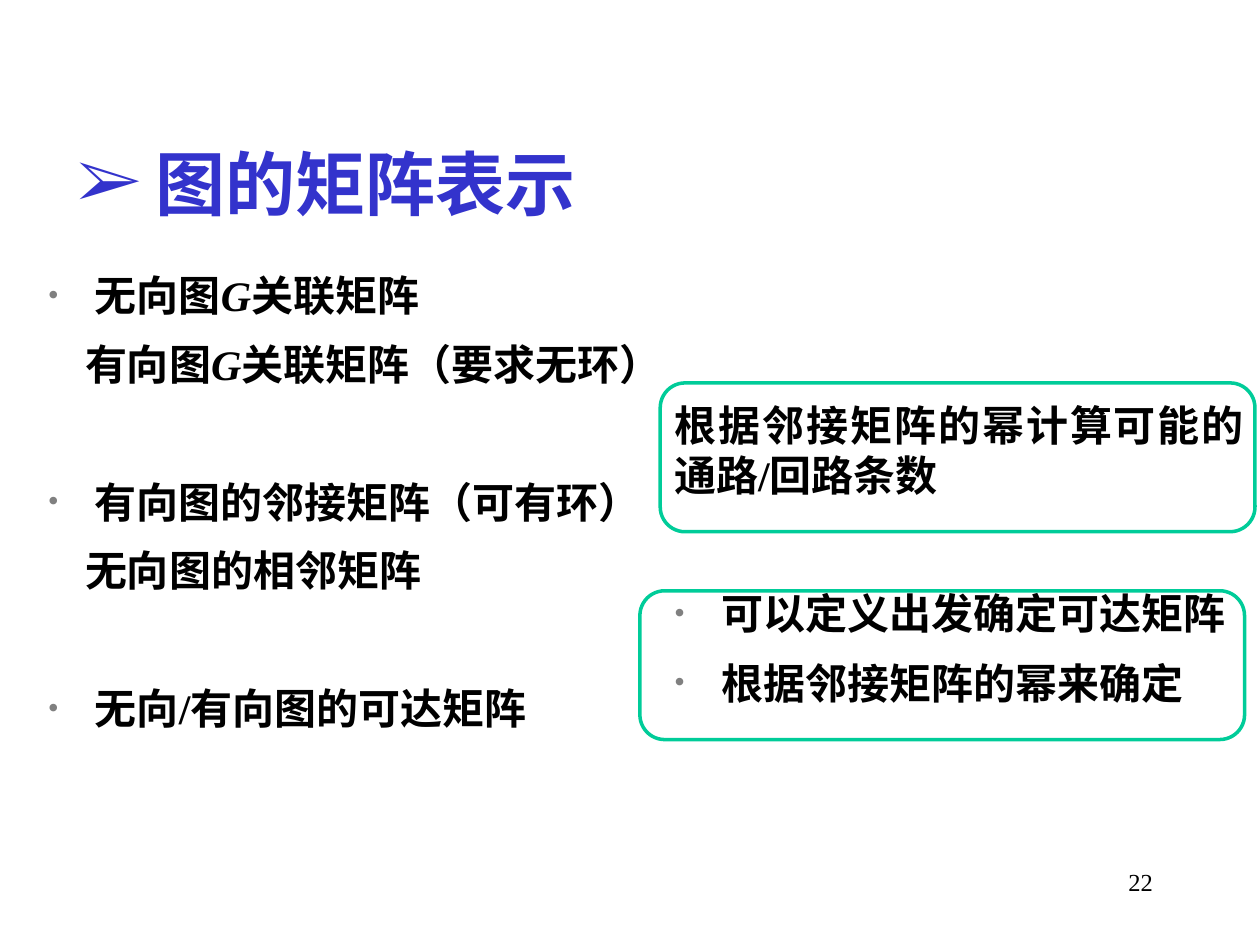
from lxml.etree import SubElement
from pptx import Presentation
from pptx.dml.color import RGBColor
from pptx.enum.shapes import MSO_SHAPE
from pptx.enum.text import MSO_ANCHOR, MSO_AUTO_SIZE, PP_ALIGN
from pptx.oxml.ns import qn
from pptx.util import Cm, Pt

# Content: each paragraph is (bulleted, starts a new group, runs); "G" is set in italics
TITLE = "图的矩阵表示"
MATRICES = [
    (True, False, ["无向图", "G", "关联矩阵"]),
    (False, False, ["有向图", "G", "关联矩阵（要求无环）"]),
    (True, True, ["有向图的邻接矩阵（可有环）"]),
    (False, False, ["无向图的相邻矩阵"]),
    (True, True, ["无向/有向图的可达矩阵"]),
]
REMARKS = [
    (False, False, ["根据邻接矩阵的幂计算可能的通路/回路条数"]),
    (True, True, ["可以定义出发确定可达矩阵"]),
    (True, False, ["根据邻接矩阵的幂来确定"]),
]
PAGE_NUMBER = "22"

# Style and places in cm: left, top, width, height
FONT = "Times New Roman"
COLORS = {"title": "3333CC", "text": "000000", "bullet": "808080",
          "frame": "00CC99", "background": "FFFFFF"}
TITLE_BOX = (1.3, 2.08, 21.59, 3.18)
MATRICES_BOX = (0.71, 5.11, 21.59, 13.8)
REMARKS_BOX = (13.34, 7.92, 11.99, 6.76)
NUMBER_BOX = (18.21, 17.35, 5.28, 1.27)
FRAMES = [(13.31, 7.72, 11.99, 3.0), (12.9, 11.91, 12.19, 3.0)]
TEXT_SIZE = 24
LINE_HEIGHT = 28.6  # points taken by one line of 24-point text
HANGING = 0.95


def place(shape, box):
    shape.left, shape.top, shape.width, shape.height = (Cm(n) for n in box)


def add_run(paragraph, text, size, color="text", bold=True, italic=False):
    run = paragraph.add_run()
    run.text = text
    font = run.font
    font.name, font.size, font.bold, font.italic = FONT, Pt(size), bold, italic
    font.color.rgb = RGBColor.from_string(COLORS[color])


def set_indent(paragraph, left, first, bullet=None, color=None, percent=100):
    properties = paragraph._p.get_or_add_pPr()
    properties.set("marL", str(Cm(left)))
    properties.set("indent", str(Cm(first)))
    if bullet is None:
        SubElement(properties, qn("a:buNone"))
        return
    bullet_color = SubElement(properties, qn("a:buClr"))
    SubElement(bullet_color, qn("a:srgbClr"), val=COLORS[color])
    SubElement(properties, qn("a:buSzPct"), val=str(percent * 1000))
    SubElement(properties, qn("a:buFont"), typeface=FONT)
    SubElement(properties, qn("a:buChar"), char=bullet)


def fill_list(text_frame, items, line_spacing, space_before, plain_indent):
    text_frame.word_wrap = True
    text_frame.auto_size = MSO_AUTO_SIZE.NONE
    # A new group is set off by the room of one whole line
    group_gap = LINE_HEIGHT * line_spacing + space_before
    for index, (bulleted, new_group, runs) in enumerate(items):
        paragraph = text_frame.add_paragraph() if index else text_frame.paragraphs[0]
        paragraph.alignment = PP_ALIGN.JUSTIFY
        paragraph.line_spacing = line_spacing
        paragraph.space_before = Pt(round(space_before + new_group * group_gap, 1))
        if bulleted:
            set_indent(paragraph, HANGING, -HANGING, "•", "bullet", 75)
        else:
            set_indent(paragraph, plain_indent, 0)
        for text in runs:
            add_run(paragraph, text, TEXT_SIZE, italic=text == "G")


presentation = Presentation()
presentation.slide_width, presentation.slide_height = Cm(25.4), Cm(19.05)
slide = presentation.slides.add_slide(presentation.slide_layouts[1])

# Title
title = slide.shapes.title
place(title, TITLE_BOX)
title.text_frame.auto_size = MSO_AUTO_SIZE.NONE
title.text_frame.vertical_anchor = MSO_ANCHOR.MIDDLE
heading = title.text_frame.paragraphs[0]
heading.alignment = PP_ALIGN.LEFT
set_indent(heading, 1.58, -1.58, "➢", "title")
add_run(heading, TITLE, 40, "title")

# List of matrices
body = slide.placeholders[1]
place(body, MATRICES_BOX)
fill_list(body.text_frame, MATRICES, 1.2, 0.2 * TEXT_SIZE, 0.75)

# Frames behind the remarks
for box in FRAMES:
    frame = slide.shapes.add_shape(MSO_SHAPE.ROUNDED_RECTANGLE, *(Cm(n) for n in box))
    frame.shadow.inherit = False
    frame.fill.solid()
    frame.fill.fore_color.rgb = RGBColor.from_string(COLORS["background"])
    frame.line.color.rgb = RGBColor.from_string(COLORS["frame"])
    frame.line.width = Pt(2)

# Remarks
remarks = slide.shapes.add_textbox(*(Cm(n) for n in REMARKS_BOX))
fill_list(remarks.text_frame, REMARKS, 1.0, 0.45 * TEXT_SIZE, 0)

# Page number
number = slide.shapes.add_textbox(*(Cm(n) for n in NUMBER_BOX))
number.text_frame.word_wrap = True
number_paragraph = number.text_frame.paragraphs[0]
number_paragraph.alignment = PP_ALIGN.RIGHT
add_run(number_paragraph, PAGE_NUMBER, 14, bold=False)

presentation.save("out.pptx")
